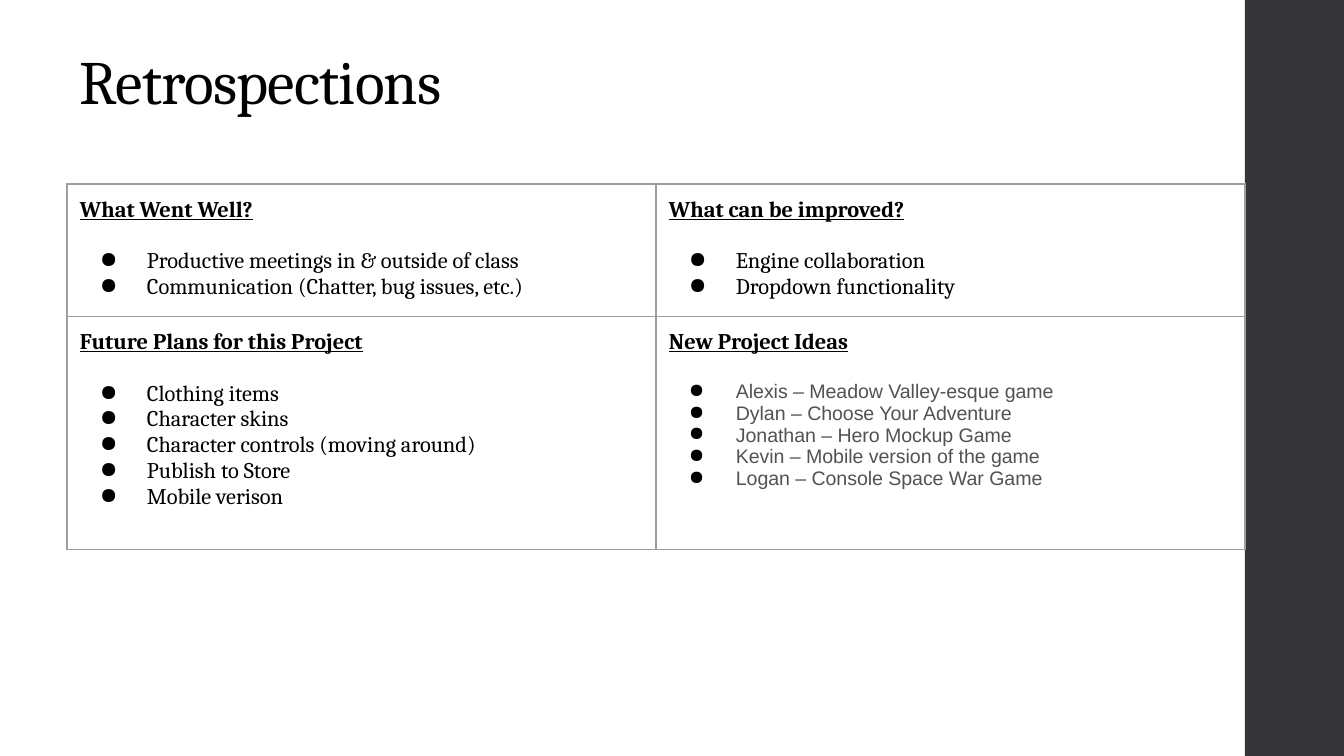
from lxml.etree import SubElement
from pptx import Presentation
from pptx.dml.color import RGBColor
from pptx.enum.shapes import MSO_SHAPE as Shape
from pptx.enum.text import MSO_ANCHOR as Anchor
from pptx.oxml.ns import qn
from pptx.util import Emu, Pt

WIDTH, HEIGHT = 1344, 756
EMU_PER_PX = 914400 * 10 / WIDTH
INSET = 13
BLACK = RGBColor(0x00, 0x00, 0x00)
CHARCOAL = RGBColor(0x35, 0x35, 0x37)
GREY_TEXT = RGBColor(0x52, 0x52, 0x52)
GREY_LINE = RGBColor(0x9E, 0x9E, 0x9E)
SERIF, SANS = "Cambria", "Arial"

# Each cell: heading, then its bulleted items
TOPICS = [
    [
        ("What Went Well?", [
            "Productive meetings in & outside of class",
            "Communication (Chatter, bug issues, etc.)",
        ]),
        ("What can be improved?", [
            "Engine collaboration",
            "Dropdown functionality",
        ]),
    ],
    [
        ("Future Plans for this Project", [
            "Clothing items",
            "Character skins",
            "Character controls (moving around)",
            "Publish to Store",
            "Mobile verison",
        ]),
        ("New Project Ideas", [
            "Alexis – Meadow Valley-esque game",
            "Dylan – Choose Your Adventure",
            "Jonathan – Hero Mockup Game",
            "Kevin – Mobile version of the game",
            "Logan – Console Space War Game",
        ]),
    ],
]


def px(length):
    return Emu(round(length * EMU_PER_PX))


def set_insets(target):
    """Give a text frame or a table cell the same margin on every side."""
    target.margin_left = target.margin_right = px(INSET)
    target.margin_top = target.margin_bottom = px(INSET)


class SlideBuilder:
    def __init__(self, page):
        self.page = page

    def style(self, para, size, name=SERIF, color=BLACK, strong=False):
        font = para.font
        font.size, font.name = Pt(size), name
        font.bold = font.underline = strong
        font.color.rgb = color

    def bar(self, left, top, width, height, color):
        box = self.page.shapes.add_shape(
            Shape.RECTANGLE, px(left), px(top), px(width), px(height))
        box.shadow.inherit = False
        box.fill.solid()
        box.fill.fore_color.rgb = color
        box.line.fill.background()

    def title(self, text, left, top, width, height):
        box = self.page.shapes.add_textbox(px(left), px(top), px(width), px(height))
        frame = box.text_frame
        frame.word_wrap = True
        frame.vertical_anchor = Anchor.TOP
        set_insets(frame)
        para = frame.paragraphs[0]
        para.text = text
        para.line_spacing = 0.9
        self.style(para, 33)
        para._p.pPr.find(qn("a:defRPr")).set("spc", "-40")

    def bullet(self, para):
        props = para._p.get_or_add_pPr()
        props.set("marL", str(px(67)))
        props.set("indent", str(px(-47)))
        color = SubElement(props, qn("a:buClr"))
        SubElement(color, qn("a:srgbClr"), val=str(BLACK))
        SubElement(props, qn("a:buChar"), char="●")

    def borders(self, cell):
        props = cell._tc.get_or_add_tcPr()
        for side in ("lnL", "lnR", "lnT", "lnB"):
            line = SubElement(props, qn(f"a:{side}"), w=str(Pt(0.75)))
            fill = SubElement(line, qn("a:solidFill"))
            SubElement(fill, qn("a:srgbClr"), val=str(GREY_LINE))

    def topic(self, cell, heading, items, **item_style):
        self.borders(cell)
        cell.fill.background()
        set_insets(cell)
        para = cell.text_frame.paragraphs[0]
        para.text = heading
        para.space_after = Pt(13.8)
        self.style(para, 12, strong=True)
        for item in items:
            para = cell.text_frame.add_paragraph()
            para.text = item
            self.bullet(para)
            self.style(para, **item_style)

    def topic_table(self, topics, left, top, column_width, row_heights):
        columns = len(topics[0])
        table = self.page.shapes.add_table(
            len(topics), columns, px(left), px(top),
            px(column_width * columns), px(sum(row_heights))).table
        table.first_row = table.horz_banding = False
        for column in table.columns:
            column.width = px(column_width)
        for row, height in zip(table.rows, row_heights):
            row.height = px(height)
        for cell, (heading, items) in zip(table.iter_cells(), sum(topics, [])):
            if heading == "New Project Ideas":
                item_style = dict(size=10.5, name=SANS, color=GREY_TEXT)
            else:
                item_style = dict(size=12)
            self.topic(cell, heading, items, **item_style)


def main():
    deck = Presentation()
    deck.slide_width, deck.slide_height = px(WIDTH), px(HEIGHT)
    builder = SlideBuilder(deck.slides.add_slide(deck.slide_layouts[6]))
    builder.bar(1245, 0, 99, HEIGHT, CHARCOAL)
    builder.title("Retrospections", 67, 38, 1068, 146)
    builder.topic_table(TOPICS, 67, 184, 589, [130, 233])
    deck.save("out.pptx")


if __name__ == "__main__":
    main()
